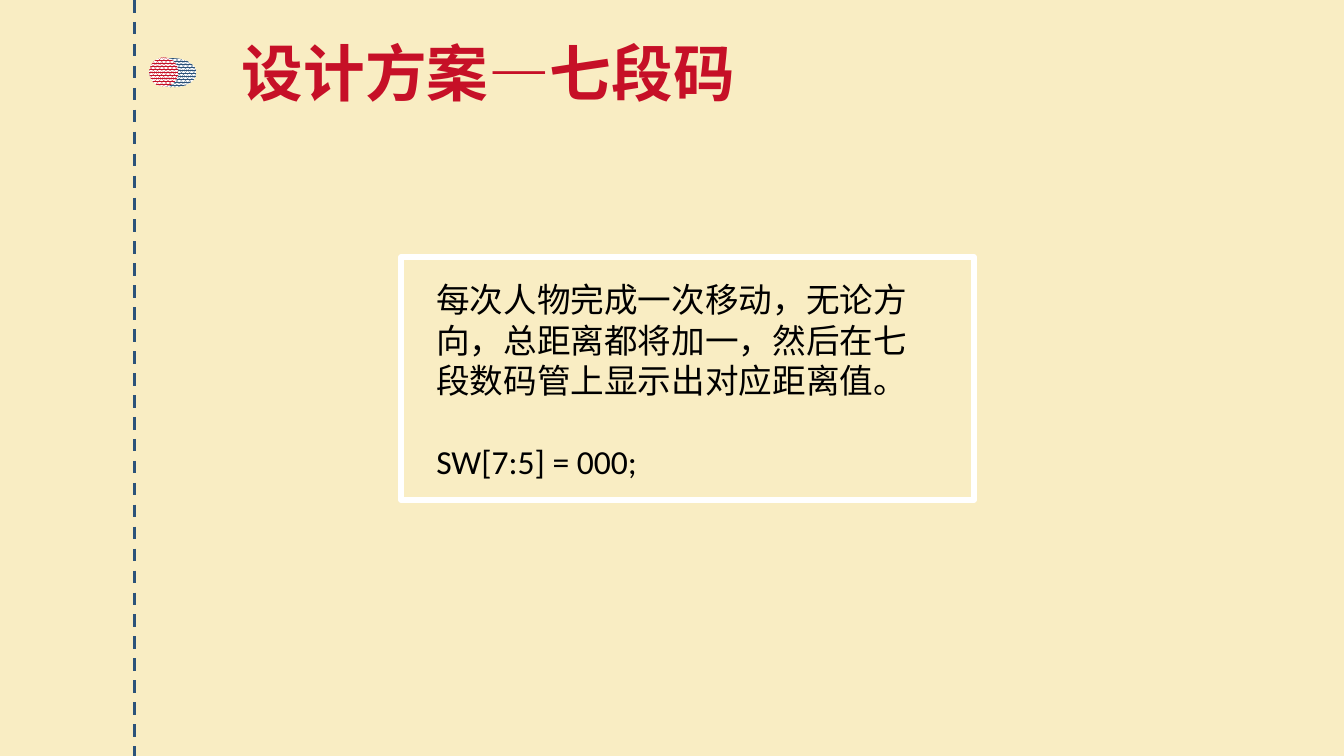
import lxml.etree
import pptx
import pptx.dml.color
import pptx.enum.dml
import pptx.enum.shapes
import pptx.enum.text
import pptx.oxml.ns
import pptx.util

WIDTH = pptx.util.Inches(13.33)
HEIGHT = pptx.util.Inches(7.5)
COLORS = {
    "cream": "F9EDC3",
    "navy": "2C537A",
    "red": "C61027",
    "white": "FFFFFF",
    "black": "000000",
}
TITLE_FONT = "Noto Sans CJK SC"
BODY_FONT = "Calibri"


def color(name):
    """Return the named palette colour."""
    return pptx.dml.color.RGBColor.from_string(COLORS[name])


def place(left, top, width, height):
    """Turn shares of the slide's size into lengths."""
    return (round(left * WIDTH), round(top * HEIGHT),
            round(width * WIDTH), round(height * HEIGHT))


def style_run(run, size, font_name, color_name, bold=False):
    """Format a run, using the same font for Latin and East Asian text."""
    run.font.size = pptx.util.Pt(size)
    run.font.name = font_name
    run.font.bold = bold
    run.font.color.rgb = color(color_name)
    if font_name == TITLE_FONT:
        east_asian = lxml.etree.SubElement(
            run.font._element, pptx.oxml.ns.qn("a:ea"))
        east_asian.set("typeface", font_name)


def set_title(slide, text, box):
    """Move, fill and format the title placeholder."""
    title = slide.shapes.title
    title.left, title.top, title.width, title.height = box
    title.text_frame.text = text
    title.text_frame.word_wrap = False
    title.text_frame.auto_size = pptx.enum.text.MSO_AUTO_SIZE.NONE
    title.text_frame.vertical_anchor = pptx.enum.text.MSO_ANCHOR.TOP
    paragraph = title.text_frame.paragraphs[0]
    paragraph.alignment = pptx.enum.text.PP_ALIGN.LEFT
    style_run(paragraph.runs[0], 44, TITLE_FONT, "red", True)


def add_dashed_line(slide, share):
    """Draw a dashed line down the full height of the slide."""
    x = round(share * WIDTH)
    line = slide.shapes.add_connector(
        pptx.enum.shapes.MSO_CONNECTOR.STRAIGHT, x, 0, x, HEIGHT)
    line.line.color.rgb = color("navy")
    line.line.width = pptx.util.Pt(2.25)
    line.line.dash_style = pptx.enum.dml.MSO_LINE.DASH
    lxml.etree.SubElement(line._element.spPr, pptx.oxml.ns.qn("a:effectLst"))


def add_patterned_oval(slide, color_name, box):
    """Add an outline-free oval with a dense pattern."""
    oval = slide.shapes.add_shape(pptx.enum.shapes.MSO_SHAPE.OVAL, *box)
    oval.shadow.inherit = False
    oval.fill.patterned()
    oval.fill.pattern = pptx.enum.dml.MSO_PATTERN.PERCENT_80
    oval.fill.fore_color.rgb = color(color_name)
    oval.fill.back_color.rgb = color("white")
    oval.line.fill.background()


def add_frame(slide, box):
    """Add a hollow rectangle with a thick white border."""
    frame = slide.shapes.add_shape(
        pptx.enum.shapes.MSO_SHAPE.RECTANGLE, *box)
    frame.shadow.inherit = False
    frame.fill.background()
    frame.line.color.rgb = color("white")
    frame.line.width = pptx.util.Pt(4.25)


def add_body(slide, texts, box):
    """Add wrapped paragraphs separated by one line of space."""
    text_frame = slide.shapes.add_textbox(*box).text_frame
    text_frame.word_wrap = True
    text_frame.text = "\n".join(texts)
    for index, paragraph in enumerate(text_frame.paragraphs):
        paragraph.space_before = pptx.util.Pt(29 if index else 0)
        style_run(paragraph.runs[0], 24, BODY_FONT, "black")


def main():
    """Build and save the slide."""
    presentation = pptx.Presentation()
    presentation.slide_width = WIDTH
    presentation.slide_height = HEIGHT
    slide = presentation.slides.add_slide(presentation.slide_layouts[5])
    slide.background.fill.solid()
    slide.background.fill.fore_color.rgb = color("cream")

    add_dashed_line(slide, 0.1)
    set_title(slide, "设计方案—七段码", place(0.1725, 0.04, 0.3893, 0.112))
    add_patterned_oval(slide, "navy", place(0.111, 0.077, 0.0353, 0.0387))
    add_patterned_oval(slide, "red", place(0.111, 0.076, 0.0218, 0.0387))
    add_frame(slide, place(0.2986, 0.34, 0.4261, 0.3213))
    add_body(slide, [
        "每次人物完成一次移动，无论方向，总距离都将加一，然后在七段数码管上显示出对应距离值。",
        "SW[7:5] = 000;",
    ], place(0.3173, 0.3627, 0.3653, 0.3547))

    presentation.save("out.pptx")


if __name__ == "__main__":
    main()
